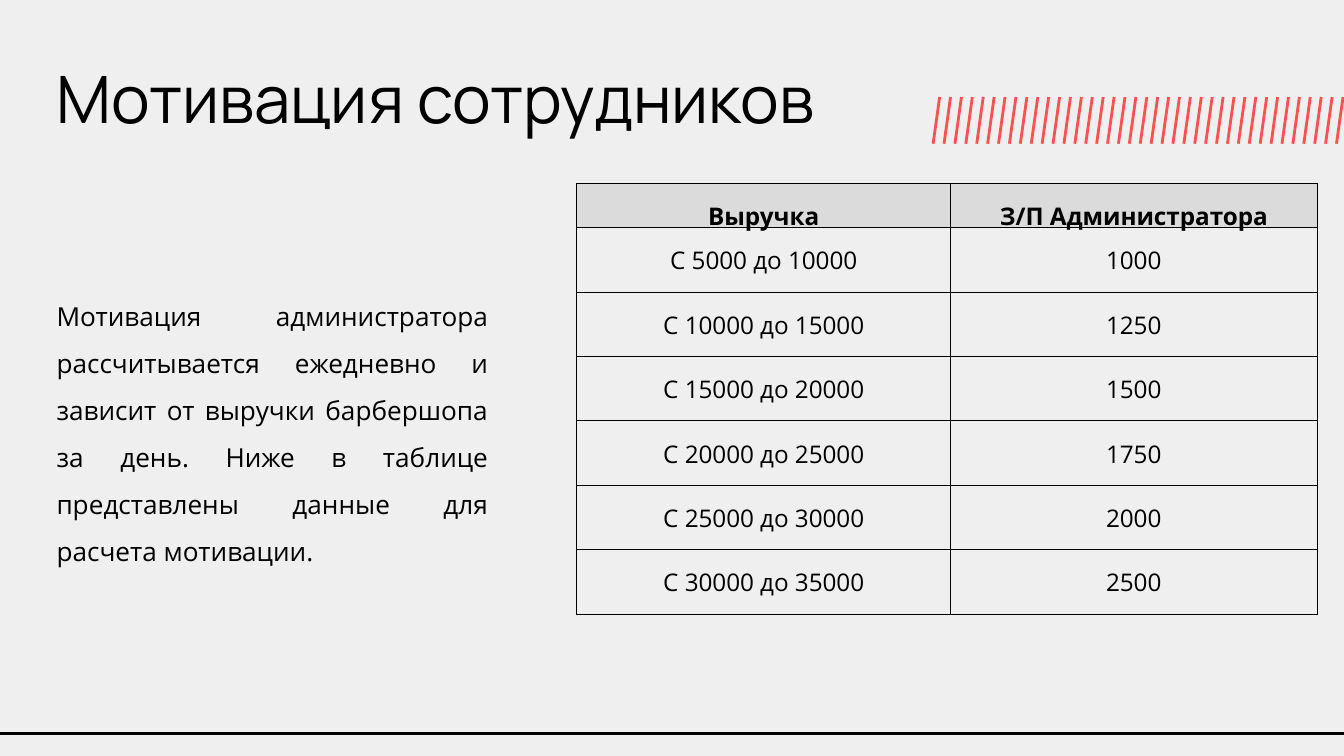
from dataclasses import dataclass

from lxml.etree import SubElement
from pptx import Presentation
from pptx.dml.color import RGBColor
from pptx.enum.shapes import MSO_CONNECTOR
from pptx.enum.text import MSO_ANCHOR, MSO_AUTO_SIZE, PP_ALIGN
from pptx.oxml.ns import qn
from pptx.slide import Slide
from pptx.table import _Cell
from pptx.text.text import TextFrame
from pptx.util import Pt


@dataclass(frozen=True)
class Theme:
    background: str = "EFEFEF"
    ink: str = "000000"
    accent: str = "FF4F4F"
    header: str = "DBDBDB"
    title_font: str = "Manrope"
    body_font: str = "Open Sans"
    title_size: float = 35
    body_size: float = 14
    table_size: float = 13
    stroke: float = 1.5
    border: float = 0.5


@dataclass(frozen=True)
class Stroke:
    x1: float
    y1: float
    x2: float
    y2: float
    color: str


@dataclass(frozen=True)
class PayRow:
    revenue: str
    pay: str


THEME = Theme()
SLIDE_W, SLIDE_H = 720, 405
HATCH_COUNT, HATCH_STEP = 38, 5.84
HEADER = PayRow("Выручка", "З/П Администратора")
PAY = (1000, 1250, 1500, 1750, 2000, 2500)
ROWS = [HEADER] + [
    PayRow(f"С {low} до {low + 5000}", str(pay))
    for low, pay in zip(range(5000, 35000, 5000), PAY)
]
BODY = (
    "Мотивация администратора рассчитывается ежедневно и зависит от выручки "
    "барбершопа за день. Ниже в таблице представлены данные для расчета мотивации."
)


def write_text(tf: TextFrame, text: str, *, size: float, font: str = THEME.body_font,
               bold: bool = False, align: PP_ALIGN = PP_ALIGN.LEFT,
               spacing: float = 1.0, after: float = 0) -> None:
    p = tf.paragraphs[0]
    p.alignment = align
    p.line_spacing = spacing
    p.space_after = Pt(after)
    r = p.add_run()
    r.text = text
    r.font.size = Pt(size)
    r.font.name = font
    r.font.bold = bold
    r.font.color.rgb = RGBColor.from_string(THEME.ink)


def add_text_box(s: Slide, left: float, top: float, width: float, height: float) -> TextFrame:
    tf = s.shapes.add_textbox(Pt(left), Pt(top), Pt(width), Pt(height)).text_frame
    tf.word_wrap = True
    tf.vertical_anchor = MSO_ANCHOR.TOP
    tf.margin_left = tf.margin_right = tf.margin_top = tf.margin_bottom = Pt(7.2)
    return tf


def draw_stroke(s: Slide, stroke: Stroke) -> None:
    sp = s.shapes.add_connector(MSO_CONNECTOR.STRAIGHT, Pt(stroke.x1), Pt(stroke.y1),
                                Pt(stroke.x2), Pt(stroke.y2))
    sp.line.color.rgb = RGBColor.from_string(stroke.color)
    sp.line.width = Pt(THEME.stroke)
    SubElement(sp._element.spPr, qn("a:effectLst"))


def set_borders(cell: _Cell) -> None:
    tc_pr = cell._tc.get_or_add_tcPr()
    for side in ("a:lnL", "a:lnR", "a:lnT", "a:lnB"):
        ln = SubElement(tc_pr, qn(side), w=str(Pt(THEME.border)))
        fill = SubElement(ln, qn("a:solidFill"))
        SubElement(fill, qn("a:srgbClr"), val=THEME.ink)


def fill_cell(cell: _Cell, text: str, is_header: bool) -> None:
    cell.margin_left = cell.margin_right = Pt(5)
    cell.margin_top = cell.margin_bottom = Pt(0)
    cell.vertical_anchor = MSO_ANCHOR.TOP
    set_borders(cell)
    if is_header:
        cell.fill.solid()
        cell.fill.fore_color.rgb = RGBColor.from_string(THEME.header)
    else:
        cell.fill.background()
    write_text(cell.text_frame, text, size=THEME.table_size, bold=is_header,
               align=PP_ALIGN.CENTER, spacing=1.5, after=10)


def draw_pay_table(s: Slide, rows: list[PayRow]) -> None:
    widths, header_h, row_h = (200.2, 196.4), 23.5, 34.55
    height = header_h + row_h * (len(rows) - 1)
    table = s.shapes.add_table(len(rows), len(widths), Pt(309), Pt(98.4),
                               Pt(sum(widths)), Pt(height)).table
    table.first_row = table.horz_banding = False
    for column, width in zip(table.columns, widths):
        column.width = Pt(width)
    for i, row in enumerate(rows):
        table.rows[i].height = Pt(row_h if i else header_h)
        for j, text in enumerate((row.revenue, row.pay)):
            fill_cell(table.cell(i, j), text, i == 0)


def main() -> None:
    prs = Presentation()
    prs.slide_width, prs.slide_height = Pt(SLIDE_W), Pt(SLIDE_H)
    s = prs.slides.add_slide(prs.slide_layouts[6])
    s.background.fill.solid()
    s.background.fill.fore_color.rgb = RGBColor.from_string(THEME.background)

    for i in range(HATCH_COUNT):
        x = 503.4 + i * HATCH_STEP
        draw_stroke(s, Stroke(x, 52, x - 3.5, 77, THEME.accent))
    draw_stroke(s, Stroke(-5, 393, 727, 393, THEME.ink))

    title = add_text_box(s, 23.2, 23.8, 607, 45.4)
    write_text(title, "Мотивация сотрудников", size=THEME.title_size, font=THEME.title_font)
    body = add_text_box(s, 23.2, 145.4, 245.5, 159)
    body.auto_size = MSO_AUTO_SIZE.SHAPE_TO_FIT_TEXT
    write_text(body, BODY, size=THEME.body_size, align=PP_ALIGN.JUSTIFY, spacing=1.5, after=10)
    draw_pay_table(s, ROWS)

    prs.save("out.pptx")


if __name__ == "__main__":
    main()
